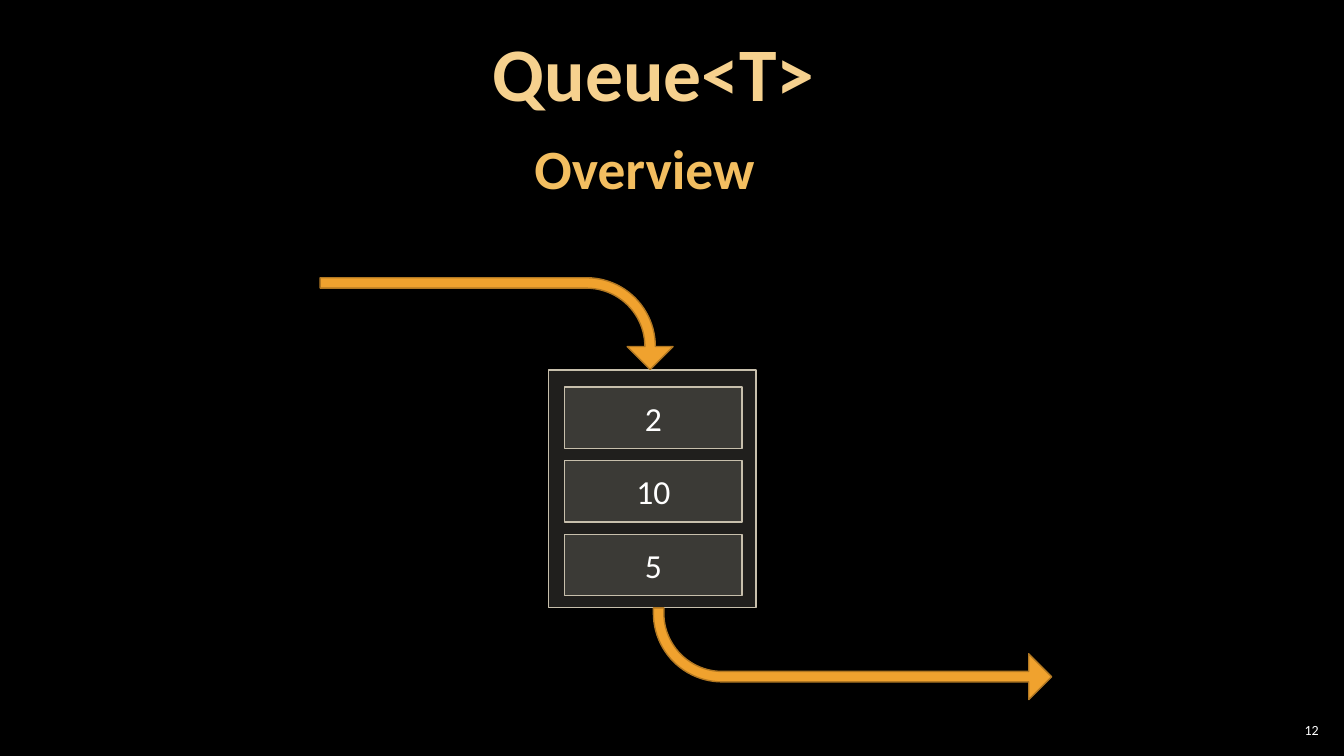
"""Build the Queue<T> overview slide: a three-item queue with arrows in and out."""
from lxml import etree
from pptx import Presentation, util as u
from pptx.dml.color import RGBColor
from pptx.enum import shapes, text
from pptx.oxml.ns import qn

W, H = 13.33, 7.5
TITLE_RUNS = [("Queue<T>", 54, "F6D18E"), ("Overview", 39.6, "F3BE60"), (" ", 59.4, "F3BE60")]
QUEUE_ITEMS = ["2", "10", "5"]
SLIDE_NUMBER = "12"
QUEUE_BOX = (5.44, 3.67, 2.06, 2.36)
FIRST_ITEM = (5.6, 3.84, 1.76, 0.61)
ITEM_STEP = 0.73
ARROWS = [((4.47, 1.46, 0.91, 3.5), 90, False), ((6.48, 6.03, 3.95, 0.91), 180, True)]
ARROW_ADJUSTMENTS = (0.114, 0.25, 0.25, 0.75)
FONT = "Calibri"


def color(value):
    return RGBColor.from_string(value)


def place(sp, box):
    sp.left, sp.top, sp.width, sp.height = map(u.Inches, box)


def set_insets(tf, x, y):
    tf.margin_left = tf.margin_right = u.Inches(x)
    tf.margin_top = tf.margin_bottom = u.Inches(y)


def set_font(font, size, value, bold=False):
    font.name, font.size, font.bold = FONT, u.Pt(size), bold
    font.color.rgb = color(value)


def add_shape(s, kind, box, fill, line, opacity=None):
    sp = s.shapes.add_shape(kind, *map(u.Inches, box))
    sp.shadow.inherit = False
    sp.fill.solid()
    sp.fill.fore_color.rgb = color(fill)
    sp.line.color.rgb = color(line)
    sp.line.width = u.Pt(1)
    if opacity:
        rgb = sp._element.spPr.find(qn("a:solidFill"))[0]
        etree.SubElement(rgb, qn("a:alpha")).set("val", str(opacity * 1000))
    return sp


def add_title(s):
    title = s.shapes.title
    place(title, (-0.18, 0.43, W, 1.55))
    tf = title.text_frame
    tf.word_wrap = True
    tf.auto_size = text.MSO_AUTO_SIZE.NONE
    tf.vertical_anchor = text.MSO_ANCHOR.MIDDLE
    set_insets(tf, 0.12, 0.04)
    p = tf.paragraphs[0]
    p.alignment, p.line_spacing = text.PP_ALIGN.CENTER, 0.9
    for i, (words, size, value) in enumerate(TITLE_RUNS):
        if i == 1:
            p.add_line_break()
        r = p.add_run()
        r.text = words
        set_font(r.font, size, value, True)


def add_panel(s, box):
    return add_shape(s, shapes.MSO_SHAPE.RECTANGLE, box, "D9D5C7", "C7BFAC", 15)


def add_queue(s):
    add_panel(s, QUEUE_BOX)
    left, top, width, height = FIRST_ITEM
    for i, item in enumerate(QUEUE_ITEMS):
        tf = add_panel(s, (left, top + i * ITEM_STEP, width, height)).text_frame
        set_insets(tf, 0.2, 0.1)
        p = tf.paragraphs[0]
        p.text, p.alignment = item, text.PP_ALIGN.CENTER
        set_font(p.font, 24, "FFFFFF")


def add_arrows(s):
    for box, rotation, flipped in ARROWS:
        sp = add_shape(s, shapes.MSO_SHAPE.BENT_ARROW, box, "F0A22E", "B27822")
        sp.rotation = rotation
        for i, value in enumerate(ARROW_ADJUSTMENTS):
            sp.adjustments[i] = value
        if flipped:
            sp._element.spPr.find(qn("a:xfrm")).set("flipH", "1")


def add_slide_number(s):
    tf = s.shapes.add_textbox(*map(u.Inches, (12.65, 7.14, 0.47, 0.21))).text_frame
    tf.word_wrap = True
    tf.vertical_anchor = text.MSO_ANCHOR.MIDDLE
    set_insets(tf, 0.04, 0.04)
    p = tf.paragraphs[0]
    p.text, p.alignment = SLIDE_NUMBER, text.PP_ALIGN.RIGHT
    set_font(p.font, 10, "FFFFFF")


def main():
    prs = Presentation()
    prs.slide_width, prs.slide_height = u.Inches(W), u.Inches(H)
    s = prs.slides.add_slide(prs.slide_layouts[5])
    s.background.fill.solid()
    s.background.fill.fore_color.rgb = color("000000")
    add_title(s)
    add_queue(s)
    add_arrows(s)
    add_slide_number(s)
    prs.save("out.pptx")


if __name__ == "__main__":
    main()
